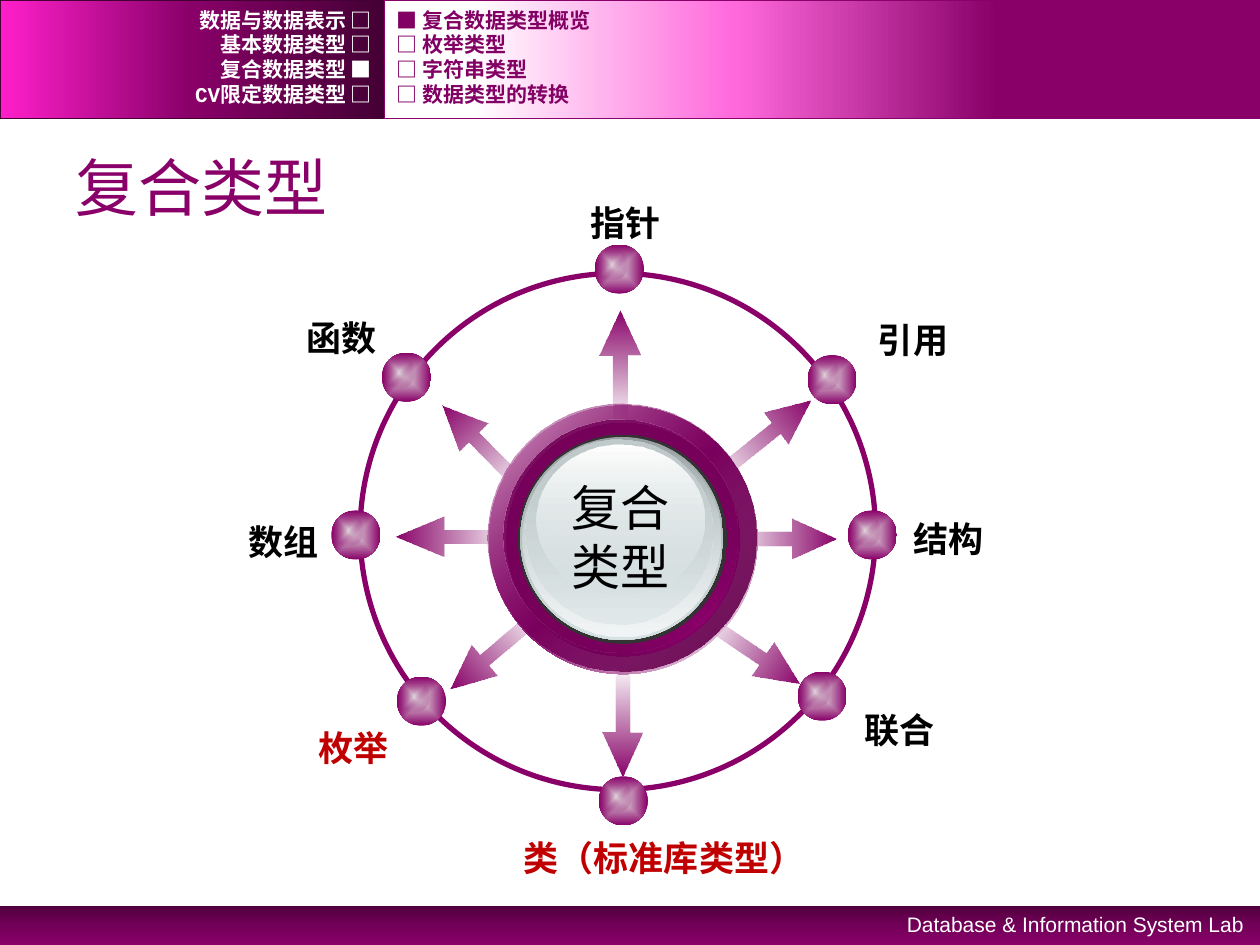
from typing import NamedTuple, Optional

from pptx import Presentation
from pptx import util as u
from pptx.dml.color import RGBColor
from pptx.enum import shapes, text
from pptx.oxml import parse_xml
from pptx.oxml.ns import nsdecls, qn

PURPLE = RGBColor(0x88, 0x00, 0x68)
NAV_PURPLE = RGBColor(0x82, 0x00, 0x64)
ARROW_TAIL = RGBColor(0x81, 0x00, 0x63)
DARK = RGBColor(0x44, 0x00, 0x34)
FOOTER_DARK = RGBColor(0x51, 0x00, 0x3E)
FOOTER_MID = RGBColor(0x73, 0x00, 0x58)
MAGENTA = RGBColor(0xFF, 0x1F, 0xCA)
PINK = RGBColor(0xFF, 0x69, 0xDC)
GLINT = RGBColor(0xE0, 0xD5, 0xDB)
RIM_DARK = RGBColor(0x61, 0x00, 0x4A)
BAND_DARK = RGBColor(0x68, 0x00, 0x50)
BAND_MID = RGBColor(0x70, 0x00, 0x55)
CHARCOAL = RGBColor(0x33, 0x33, 0x33)
STEEL = RGBColor(0x99, 0xA1, 0xA2)
SILVER = RGBColor(0xC1, 0xCB, 0xCC)
ICE = RGBColor(0xD6, 0xE1, 0xE2)
FROST = RGBColor(0xF2, 0xF5, 0xF5)
RED = RGBColor(0xC0, 0x00, 0x00)
BLACK = RGBColor(0, 0, 0)
WHITE = RGBColor(0xFF, 0xFF, 0xFF)

LEFT, CENTER, RIGHT = (text.PP_ALIGN.LEFT, text.PP_ALIGN.CENTER,
                       text.PP_ALIGN.RIGHT)
OVAL = shapes.MSO_SHAPE.OVAL
RECT = shapes.MSO_SHAPE.RECTANGLE


class Stop(NamedTuple):
    pos: int
    color: RGBColor
    opacity: int = 100


class Grad(NamedTuple):
    stops: list[Stop]
    angle: Optional[int] = 0  # None makes it radiate from the centre


class Box(NamedTuple):
    left: float
    top: float
    width: float
    height: float

    def lengths(self) -> list[u.Length]:
        return [u.Cm(v) for v in self]


class Spoke(NamedTuple):
    x: float
    y: float
    length: float
    angle: float
    head: float = 1.11


class Node(NamedTuple):
    label: str
    left: float
    top: float
    label_left: float
    label_top: float
    align: text.PP_ALIGN = LEFT
    color: RGBColor = BLACK
    label_width: float = 1.93


class Disc(NamedTuple):
    box: Box
    fill: Grad


def set_gradient(sp, grad: Grad) -> None:
    stops = "".join(
        f'<a:gs pos="{g.pos * 1000}"><a:srgbClr val="{g.color}">'
        f'<a:alpha val="{g.opacity * 1000}"/></a:srgbClr></a:gs>'
        for g in grad.stops)
    if grad.angle is None:
        course = ('<a:path path="shape"><a:fillToRect l="50000" t="50000" '
                  'r="50000" b="50000"/></a:path>')
    else:
        course = f'<a:lin ang="{grad.angle * 60000}" scaled="0"/>'
    sp.fill.background()
    sp_pr = sp._element.spPr
    sp_pr.replace(sp_pr.find(qn("a:noFill")), parse_xml(
        f'<a:gradFill {nsdecls("a")} rotWithShape="1">'
        f'<a:gsLst>{stops}</a:gsLst>{course}</a:gradFill>'))


def add_shape(s, kind, box: Box, fill: Optional[Grad] = None,
              line: Optional[RGBColor] = None, weight: float = 1):
    sp = s.shapes.add_shape(kind, *box.lengths())
    sp.shadow.inherit = False
    if fill:
        set_gradient(sp, fill)
    else:
        sp.fill.background()
    if line is None:
        sp.line.fill.background()
    else:
        sp.line.color.rgb = line
        sp.line.width = u.Pt(weight)
    return sp


def add_run(p, words: str, size: float, color: RGBColor, bold: bool = False,
            font: str = "Arial") -> None:
    r = p.add_run()
    r.text = words
    r.font.size, r.font.bold, r.font.name = u.Pt(size), bold, font
    r.font.color.rgb = color


def add_text(s, box: Box, lines: list[str], size: float, color: RGBColor,
             align=LEFT, bold: bool = False, font: str = "Arial",
             wrap: bool = False, anchor=text.MSO_ANCHOR.TOP) -> None:
    tf = s.shapes.add_textbox(*box.lengths()).text_frame
    tf.word_wrap, tf.vertical_anchor = wrap, anchor
    for i, words in enumerate(lines):
        p = tf.add_paragraph() if i else tf.paragraphs[0]
        p.alignment = align
        add_run(p, words, size, color, bold, font)


def add_spoke(s, spoke: Spoke) -> None:
    thick = 0.81
    box = Box(spoke.x - spoke.length / 2, spoke.y - thick / 2,
              spoke.length, thick)
    sp = add_shape(s, shapes.MSO_SHAPE.RIGHT_ARROW, box,
                   Grad([Stop(0, ARROW_TAIL, 0), Stop(100, PURPLE)]))
    sp.adjustments[0], sp.adjustments[1] = 0.352, spoke.head
    sp.rotation = spoke.angle


def add_node(s, n: Node) -> None:
    add_shape(s, OVAL, Box(n.left, n.top, 0.99, 0.99),
              Grad([Stop(0, GLINT), Stop(100, PURPLE)], None))
    add_shape(s, OVAL, Box(n.left + 0.04, n.top + 0.08, 0.61, 0.64),
              Grad([Stop(0, GLINT), Stop(100, PURPLE, 0)], None))
    add_text(s, Box(n.label_left, n.label_top, n.label_width, 1.12),
             [n.label], 20, n.color, n.align, True)


def add_nav(s, left: float, width: float, items: list[str],
            color: RGBColor, align) -> None:
    for i, item in enumerate(items):
        add_text(s, Box(left, 0.15 + 0.5 * i, width, 0.5), [item], 12, color,
                 align, True, "Courier New", True, text.MSO_ANCHOR.MIDDLE)


SIDE_SPOKES = [
    Spoke(15.39, 8.84, 2.44, 321.7), Spoke(15.2, 13.16, 2.21, 33.6),
    Spoke(9.7, 8.97, 2.24, 225.4), Spoke(9.92, 13.16, 2.21, 140),
    Spoke(15.76, 10.85, 2.21, 0), Spoke(9.17, 10.82, 2.39, 180, 1.21),
]
VERTICAL_SPOKES = [Spoke(12.5, 7.39, 2.24, 270), Spoke(12.55, 14.53, 2.24, 90)]
NODES = [
    Node("函数", 7.7, 7.11, 5.92, 6.25, RIGHT),
    Node("数组", 6.68, 10.29, 4.75, 10.36, RIGHT),
    Node("枚举", 8, 13.64, 6.15, 14.53, RIGHT, RED),
    Node("引用", 16.28, 7.16, 17.45, 6.3),
    Node("结构", 17.09, 10.29, 18.16, 10.31),
    Node("联合", 16.08, 13.54, 17.17, 14.15),
    Node("指针", 11.99, 4.93, 11.66, 3.94),
    Node("类（标准库类型）", 12.07, 15.65, 10.31, 16.74, LEFT, RED, 6.22),
]
HUB = [
    Disc(Box(9.86, 8.18, 5.41, 5.41),
         Grad([Stop(0, WHITE), Stop(50, PURPLE), Stop(100, WHITE)], 45)),
    Disc(Box(9.83, 8.13, 5.41, 5.41),
         Grad([Stop(0, PURPLE, 32), Stop(100, RIM_DARK)], 45)),
    Disc(Box(10.21, 8.53, 4.7, 4.7),
         Grad([Stop(0, BAND_DARK), Stop(50, PURPLE), Stop(100, BAND_DARK)], 315)),
    Disc(Box(10.16, 8.46, 4.7, 4.7),
         Grad([Stop(0, BAND_MID), Stop(100, PURPLE, 0)], 45)),
    Disc(Box(10.44, 8.76, 4.22, 4.22),
         Grad([Stop(0, CHARCOAL), Stop(100, CHARCOAL)], 90)),
    Disc(Box(10.49, 8.81, 4.09, 4.09), Grad([Stop(0, STEEL), Stop(100, ICE)], 90)),
    Disc(Box(10.54, 8.84, 3.99, 3.99),
         Grad([Stop(0, ICE, 0), Stop(100, FROST)], 90)),
    Disc(Box(10.59, 8.86, 3.78, 3.73),
         Grad([Stop(0, SILVER), Stop(100, ICE, 48)], 90)),
    Disc(Box(10.82, 8.97, 3.38, 3.02),
         Grad([Stop(0, WHITE), Stop(100, ICE, 38)], 90)),
]

prs = Presentation()
prs.slide_width, prs.slide_height = u.Cm(25.4), u.Cm(19.05)
s = prs.slides.add_slide(prs.slide_layouts[5])

# Title
title = s.shapes.title
title.left, title.top, title.width, title.height = Box(
    1.27, 2.77, 22.86, 1.98).lengths()
title.text_frame.vertical_anchor = text.MSO_ANCHOR.MIDDLE
p = title.text_frame.paragraphs[0]
p.alignment = LEFT
add_run(p, "复合类型", 36, PURPLE)

# Footer and header bands
add_shape(s, RECT, Box(0, 18.26, 25.4, 0.79), Grad(
    [Stop(0, FOOTER_DARK), Stop(50, FOOTER_MID), Stop(100, PURPLE)], 90))
add_shape(s, RECT, Box(0, 0, 7.75, 2.39), Grad(
    [Stop(0, DARK), Stop(50, PURPLE), Stop(100, MAGENTA)], 180), DARK)
add_shape(s, RECT, Box(7.75, 0, 17.65, 2.39), Grad(
    [Stop(30, PURPLE), Stop(60, PINK), Stop(90, WHITE)], 180), PURPLE)
add_text(s, Box(16.31, 18.26, 9.02, 0.76),
         ["Database & Information System Lab"], 12, WHITE, RIGHT, wrap=True)

# Wheel: spokes, ring, hub and labelled nodes
for spoke in SIDE_SPOKES:
    add_spoke(s, spoke)
add_shape(s, OVAL, Box(7.26, 5.51, 10.39, 10.41), line=PURPLE, weight=3)
for disc in HUB:
    add_shape(s, OVAL, disc.box, disc.fill)
add_text(s, Box(11.25, 9.5, 2.51, 2.64), ["复合", "类型"], 28, BLACK, CENTER)
for spoke in VERTICAL_SPOKES:
    add_spoke(s, spoke)
for node in NODES:
    add_node(s, node)

# Chapter and section navigation
add_nav(s, 0, 7.75, ["数据与数据表示 □", "基本数据类型 □", "复合数据类型 ■",
                     "CV限定数据类型 □"], WHITE, RIGHT)
add_nav(s, 7.75, 15.29, ["■ 复合数据类型概览", "□ 枚举类型", "□ 字符串类型",
                         "□ 数据类型的转换"], NAV_PURPLE, LEFT)

prs.save("out.pptx")
